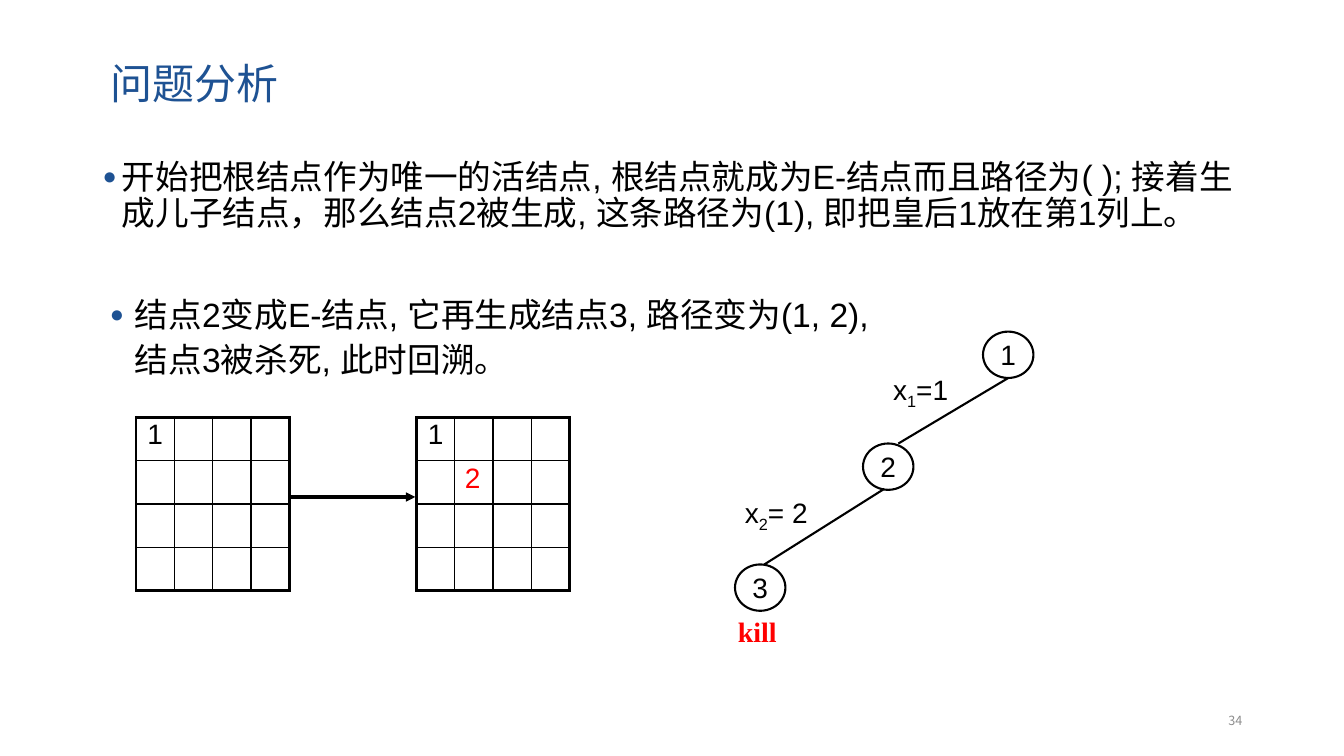
from dataclasses import dataclass

from lxml import etree
from pptx import Presentation
from pptx import util as u
from pptx.dml.color import RGBColor
from pptx.enum import shapes, text
from pptx.oxml import ns

PX = 9144
BLACK = RGBColor(0, 0, 0)
WHITE = RGBColor(255, 255, 255)
BLUE = RGBColor(0x1E, 0x52, 0x93)
RED = RGBColor(255, 0, 0)
GRAY = RGBColor(0x8C, 0x8C, 0x8C)
LEFT, MID, RIGHT = text.PP_ALIGN.LEFT, text.PP_ALIGN.CENTER, text.PP_ALIGN.RIGHT
SIDE = 4
THIN, THICK = 1, 2.25


@dataclass
class Node:
    name: str
    x: int
    y: int
    w: int = 50
    h: int = 46


@dataclass
class Edge:
    x1: int
    y1: int
    x2: int
    y2: int
    wide: float = 1.5
    arrow: bool = False


@dataclass
class Queen:
    name: str
    row: int
    col: int
    color: RGBColor = BLACK
    align: text.PP_ALIGN = MID


@dataclass
class Board:
    x: int
    queens: list[Queen]
    y: int = 414
    cell: int = 38
    rise: int = 43


@dataclass
class Note:
    words: str
    x: int
    y: int
    w: int
    h: int
    style: dict


def px(n: int) -> u.Emu:
    return u.Emu(n * PX)


def add(parent, tag: str, **attrs: str):
    return etree.SubElement(parent, ns.qn(tag), attrs)


def write(frame, words: str, size: float = 20, color: RGBColor = BLACK,
          font: str = "Arial", bold: bool = False, align: text.PP_ALIGN = LEFT,
          space: float | None = None, hang: int = 0,
          anchor: text.MSO_ANCHOR | None = None) -> None:
    if anchor is not None:
        frame.vertical_anchor = anchor
    para = frame.paragraphs[0]
    para.alignment = align
    if space:
        para.line_spacing = space
    if hang:
        props = para._p.get_or_add_pPr()
        props.set("marL", str(px(hang)))
        props.set("indent", str(-px(hang)))
        add(add(props, "a:buClr"), "a:srgbClr", val=str(BLUE))
        add(props, "a:buSzPct", val="70000")
        add(props, "a:buFont", typeface="Arial")
        add(props, "a:buChar", char="●")
    for i, part in enumerate(words.split("|")):
        run = para.add_run()
        run.text = part
        run.font.size = u.Pt(size)
        run.font.name = font
        run.font.bold = bold
        run.font.color.rgb = color
        if i % 2:
            run.font._element.set("baseline", "-25000")


def draw_note(slide, note: Note) -> None:
    box = slide.shapes.add_textbox(px(note.x), px(note.y), px(note.w), px(note.h))
    box.text_frame.word_wrap = True
    write(box.text_frame, note.words, **note.style)


def draw_node(slide, node: Node) -> None:
    oval = slide.shapes.add_shape(shapes.MSO_SHAPE.OVAL, px(node.x), px(node.y),
                                  px(node.w), px(node.h))
    oval.shadow.inherit = False
    oval.fill.background()
    oval.line.color.rgb = BLACK
    oval.line.width = u.Pt(1.5)
    oval.text_frame.word_wrap = False
    write(oval.text_frame, node.name, align=MID, anchor=text.MSO_ANCHOR.MIDDLE)


def draw_edge(slide, edge: Edge) -> None:
    link = slide.shapes.add_connector(shapes.MSO_CONNECTOR.STRAIGHT, px(edge.x1),
                                      px(edge.y1), px(edge.x2), px(edge.y2))
    link.line.color.rgb = BLACK
    link.line.width = u.Pt(edge.wide)
    if edge.arrow:
        add(link.get_or_add_ln(), "a:tailEnd", type="triangle")
    add(link._element.spPr, "a:effectLst")


def style_cell(cell, row: int, col: int) -> None:
    props = cell._tc.get_or_add_tcPr()
    last = SIDE - 1
    edges = {"L": col == 0, "R": col == last, "T": row == 0, "B": row == last}
    for side, outer in edges.items():
        wide = THICK if outer else THIN
        line = add(props, f"a:ln{side}", w=str(u.Pt(wide)))
        add(add(line, "a:solidFill"), "a:srgbClr", val=str(BLACK))
    cell.fill.solid()
    cell.fill.fore_color.rgb = WHITE


def draw_board(slide, board: Board) -> None:
    grid = slide.shapes.add_table(SIDE, SIDE, px(board.x), px(board.y),
                                  px(SIDE * board.cell), px(SIDE * board.rise)).table
    grid.first_row = grid.horz_banding = False
    for i in range(SIDE):
        grid.columns[i].width = px(board.cell)
        grid.rows[i].height = px(board.rise)
        for j in range(SIDE):
            style_cell(grid.cell(i, j), i, j)
    for queen in board.queens:
        write(grid.cell(queen.row, queen.col).text_frame, queen.name,
              color=queen.color, align=queen.align, space=0.9)


NOTES = [
    Note("问题分析", 100, 35, 900, 100,
         dict(size=30, color=BLUE, space=0.9, anchor=text.MSO_ANCHOR.MIDDLE)),
    Note("开始把根结点作为唯一的活结点, 根结点就成为E-结点而且路径为( ); "
         "接着生成儿子结点，那么结点2被生成, 这条路径为(1), 即把皇后1放在第1列上。",
         92, 154, 1158, 115, dict(size=24, space=0.9, hang=19)),
    Note("结点2变成E-结点, 它再生成结点3, 路径变为(1, 2), 结点3被杀死, 此时回溯。",
         99, 283, 798, 142, dict(size=24, space=1.1, hang=25)),
    Note("x|1|=1", 876, 365, 88, 44, {}),
    Note("x|2|= 2", 729, 487, 140, 44, {}),
    Note("kill", 722, 611, 73, 37,
         dict(color=RED, font="Times New Roman", bold=True, space=0.8)),
    Note("34", 942, 695, 300, 40,
         dict(size=9, color=GRAY, font="Noto Sans CJK SC", align=RIGHT,
              anchor=text.MSO_ANCHOR.MIDDLE)),
]
NODES = [Node("1", 975, 329), Node("2", 856, 440), Node("3", 729, 560)]
EDGES = [Edge(1000, 375, 891, 440), Edge(877, 485, 758, 560),
         Edge(288, 493, 412, 493, THICK, True)]
FIRST = Queen("1", 0, 0)
BOARDS = [Board(135, [FIRST]),
          Board(413, [FIRST, Queen("2", 1, 1, RED, LEFT)])]


def main() -> None:
    deck = Presentation()
    deck.slide_width, deck.slide_height = px(1333), px(750)
    slide = deck.slides.add_slide(deck.slide_layouts[6])
    for draw, items in ((draw_note, NOTES), (draw_node, NODES),
                        (draw_edge, EDGES), (draw_board, BOARDS)):
        for item in items:
            draw(slide, item)
    deck.save("out.pptx")


if __name__ == "__main__":
    main()
